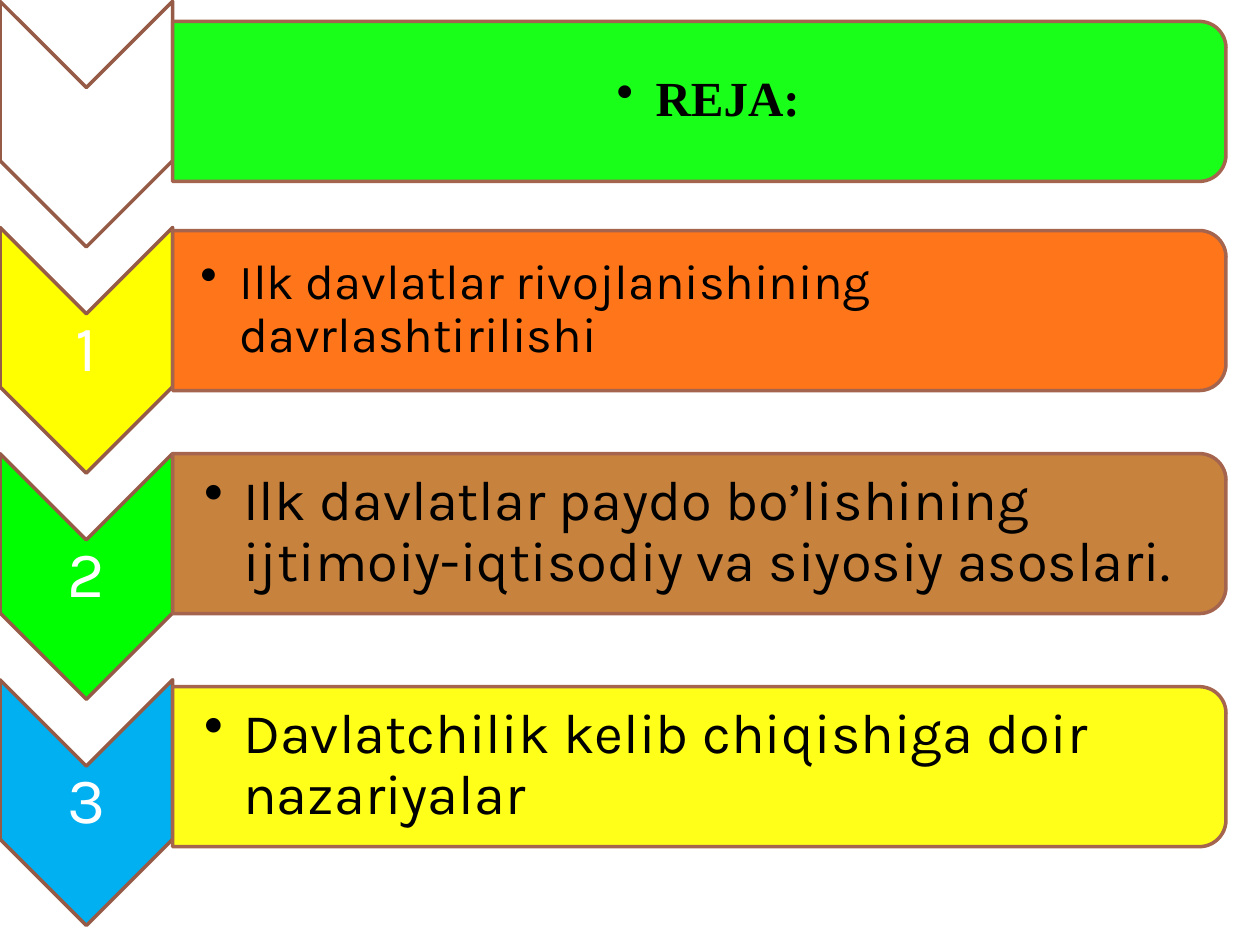
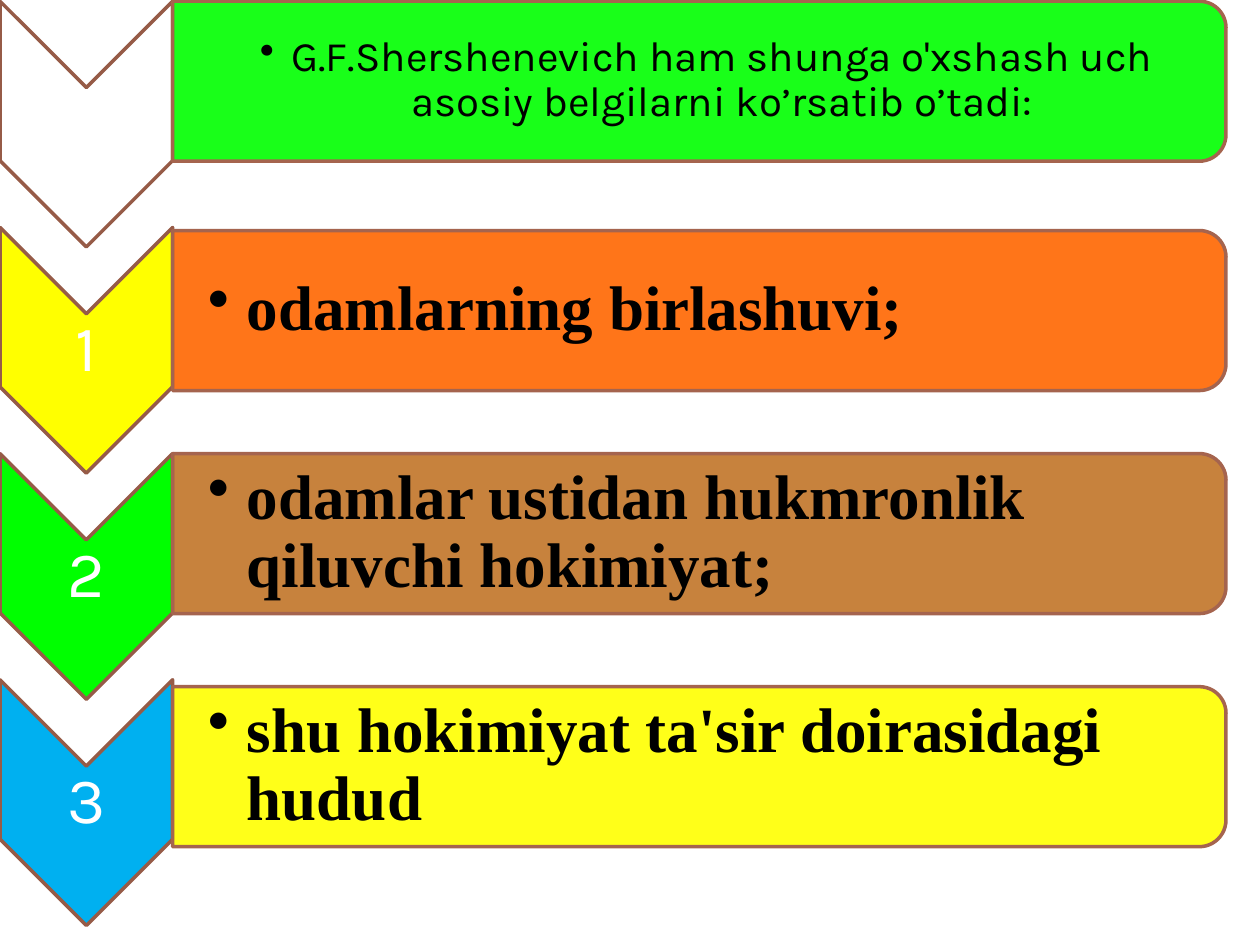
from pptx import Presentation
from pptx.dml.color import RGBColor
from pptx.enum.shapes import MSO_SHAPE as Preset
from pptx.enum.text import MSO_ANCHOR as Anchor, PP_ALIGN as Align
from pptx.oxml.ns import qn
from pptx.util import Inches, Pt
from lxml.etree import SubElement

WHITE = RGBColor(0xFF, 0xFF, 0xFF)
BLACK = RGBColor(0x00, 0x00, 0x00)
GREEN = RGBColor(0x00, 0xFF, 0x00)
ORANGE = RGBColor(0xFF, 0x66, 0x00)
BROWN = RGBColor(0xC1, 0x75, 0x29)
YELLOW = RGBColor(0xFF, 0xFF, 0x00)
BLUE = RGBColor(0x00, 0xB0, 0xF0)
CHEVRON_EDGE = RGBColor(0x96, 0x5B, 0x47)
BAR_EDGE = RGBColor(0xA5, 0x64, 0x4E)

SANS, SERIF = "Karla", "Times New Roman"
CHEVRON_COLORS = [WHITE, YELLOW, GREEN, BLUE]
BAR_COLORS = [GREEN, ORANGE, BROWN, YELLOW]
CHEVRON_TOP, CHEVRON_STEP = 0.3, 1.795
CHEVRON_WIDTH, CHEVRON_HEIGHT = 1.37, 1.95
BAR_LEFT, BAR_WIDTH, BAR_HEIGHT = 1.37, 8.36, 1.27
ITEM_BAR_TOPS = [1.83, 3.6, 5.45]

PLAN = {
    "heading_top": 0.17,
    "rows": [
        ("REJA:", SERIF, 28, 0.22, 0.31),
        ("Ilk davlatlar rivojlanishining davrlashtirilishi", SANS, 28, 0.22, 0.31),
        ("Ilk davlatlar paydo bo’lishining ijtimoiy-iqtisodiy va siyosiy asoslari.",
         SANS, 32, 0.25, 0.31),
        ("Davlatchilik kelib chiqishiga doir nazariyalar", SANS, 32, 0.25, 0.31),
    ],
}
FEATURES = {
    "heading_top": 0.01,
    "rows": [
        ("G.F.Shershenevich ham shunga o'xshash uch asosiy belgilarni ko’rsatib o’tadi:",
         SANS, 24, 0.19, 0.25),
        ("odamlarning birlashuvi;", SERIF, 36, 0.28, 0.31),
        ("odamlar ustidan hukmronlik qiluvchi hokimiyat;", SERIF, 36, 0.28, 0.31),
        ("shu hokimiyat ta'sir doirasidagi hudud", SERIF, 36, 0.28, 0.31),
    ],
}


class ChevronList:
    """Draws numbered chevrons with text bars on the current slide."""

    def __init__(self):
        self.deck = Presentation()
        self.deck.slide_width, self.deck.slide_height = Inches(10), Inches(7.5)
        self.page = None

    def add_page(self):
        self.page = self.deck.slides.add_slide(self.deck.slide_layouts[6])

    def add_turned(self, preset, left, top, width, height, fill, edge):
        """Add a preset turned by 90 degrees that covers the given area."""
        shift = (width - height) / 2
        shape = self.page.shapes.add_shape(
            preset, Inches(left + shift), Inches(top - shift), Inches(height), Inches(width))
        shape.rotation = 90
        shape.shadow.inherit = False
        shape.fill.solid()
        shape.fill.fore_color.rgb = fill
        shape.line.color.rgb = edge
        shape.line.width = Pt(2)
        return shape

    def add_text(self, text, left, top, width, height, margins, align, font):
        """Add a one-paragraph text box and return its paragraph."""
        box = self.page.shapes.add_textbox(
            Inches(left), Inches(top), Inches(width), Inches(height))
        frame = box.text_frame
        frame.word_wrap = True
        frame.vertical_anchor = Anchor.MIDDLE
        for side, size in zip(("left", "top", "right", "bottom"), margins):
            setattr(frame, f"margin_{side}", Inches(size))
        para = frame.paragraphs[0]
        para.alignment = align
        para.line_spacing = 0.9
        span = para.add_run()
        span.text = text
        color = font["color"]
        span.font.color.rgb = color
        for name in ("name", "size", "bold"):
            setattr(span.font, name, font[name])
        return para

    def add_chevron(self, index):
        top = CHEVRON_TOP + index * CHEVRON_STEP - (CHEVRON_HEIGHT - CHEVRON_WIDTH) / 2
        self.add_turned(Preset.CHEVRON, 0, top, CHEVRON_WIDTH, CHEVRON_HEIGHT,
                        CHEVRON_COLORS[index], CHEVRON_EDGE)
        if index:
            font = {"name": SANS, "size": Pt(37), "bold": False, "color": WHITE}
            self.add_text(str(index), 0, top + 0.68, CHEVRON_WIDTH, 0.59,
                          [0.03] * 4, Align.CENTER, font)

    def add_bar(self, index, top, row):
        text, face, size, inset, indent = row
        bar = self.add_turned(Preset.ROUND_2_SAME_RECTANGLE, BAR_LEFT, top, BAR_WIDTH,
                              BAR_HEIGHT, BAR_COLORS[index], BAR_EDGE)
        color = bar.fill._xPr.find(qn("a:solidFill"))[0]
        SubElement(color, qn("a:alpha"), val="90000")
        font = {"name": face, "size": Pt(size), "bold": face == SERIF, "color": BLACK}
        align = Align.LEFT if index else Align.CENTER
        para = self.add_text(text, BAR_LEFT, top + 0.06, 8.3, 1.14,
                             [inset, 0.02, 0.02, 0.02], align, font)
        para.level = 1
        props = para._p.get_or_add_pPr()
        props.set("marL", str(Inches(indent)))
        props.set("indent", str(-Inches(indent)))
        SubElement(props, qn("a:buChar"), char="•")

    def add_list(self, content):
        self.add_page()
        tops = [content["heading_top"], *ITEM_BAR_TOPS]
        for index, (top, row) in enumerate(zip(tops, content["rows"])):
            self.add_chevron(index)
            self.add_bar(index, top, row)


def main():
    chevrons = ChevronList()
    for content in (PLAN, FEATURES):
        chevrons.add_list(content)
    chevrons.deck.save("out.pptx")


if __name__ == "__main__":
    main()
